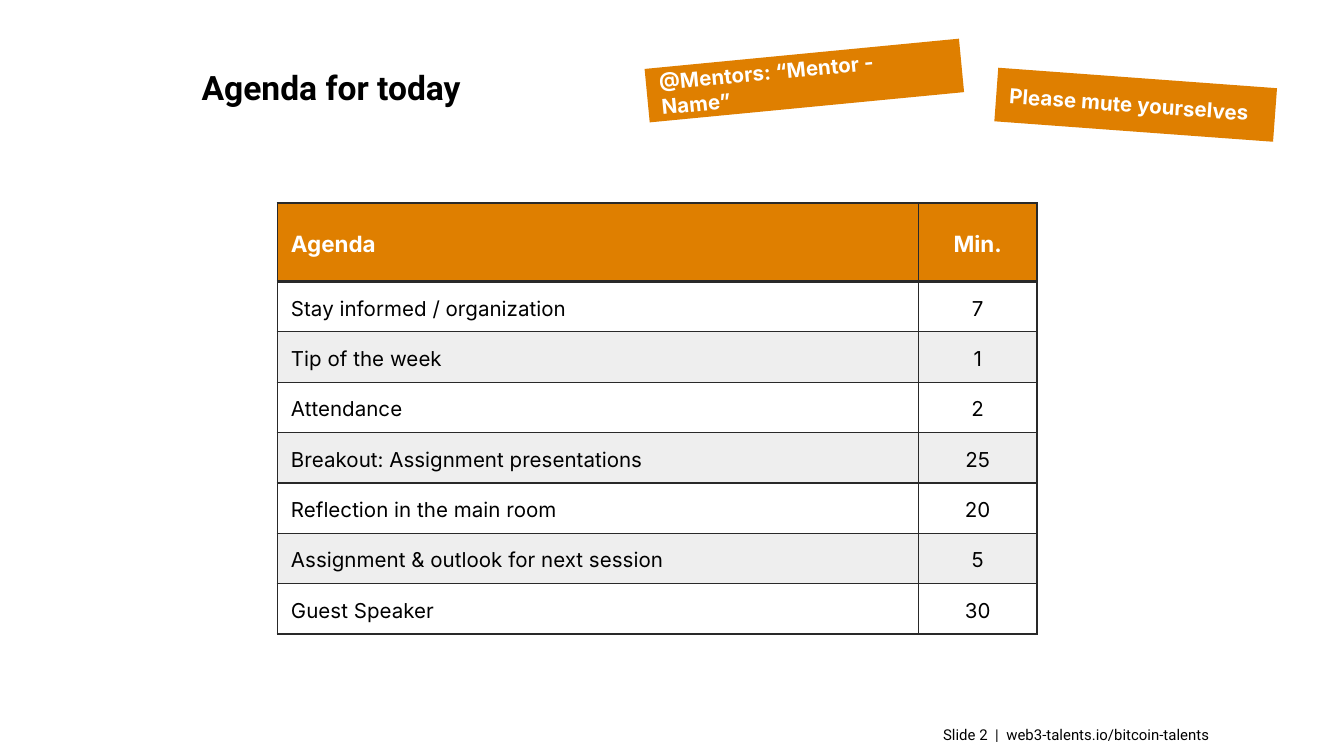
"""Build the agenda slide with its title, two tilted labels, timetable and footer."""
import dataclasses
import typing

import lxml.etree
import pptx
import pptx.dml.color
import pptx.enum.shapes
import pptx.enum.text
import pptx.oxml.ns
import pptx.util

ALIGN = pptx.enum.text.PP_ALIGN
ANCHOR = pptx.enum.text.MSO_ANCHOR


@dataclasses.dataclass(frozen=True)
class Theme:
    accent: str = "DF7F00"
    ink: str = "000000"
    paper: str = "FFFFFF"
    band: str = "EEEEEE"
    rule: str = "292929"
    head_font: str = "Roboto"
    body_font: str = "Inter"
    title: float = 18
    header: float = 12
    body: float = 11
    small: float = 8
    thin: float = 0.75
    line: float = 1
    thick: float = 2


class Box(typing.NamedTuple):
    col: float
    row: float
    cols: float
    rows: float


class Style(typing.NamedTuple):
    font: str
    size: float
    color: str
    bold: bool = False
    align: ALIGN = ALIGN.LEFT


class Label(typing.NamedTuple):
    text: str
    box: Box
    turn: float
    right: float = 1


class Item(typing.NamedTuple):
    topic: str
    time: str


THEME = Theme()
PITCH = 0.1
WIDTH, HEIGHT = 100, 56.25
TABLE = Box(20.65, 15.1, 56.5, 32.1)
TIME_COLS = 8.8
HEAD_ROWS = 5.85

LABELS = [
    Label("Please mute yourselves", Box(74.1, 5.8, 20.8, 4), 4.2),
    Label("@Mentors: “Mentor - Name”", Box(48.1, 4, 23.5, 4), -5.5, 1.5),
]
ITEMS = [
    Item("Agenda", "Min."),
    Item("Stay informed / organization", "7"),
    Item("Tip of the week", "1"),
    Item("Attendance", "2"),
    Item("Breakout: Assignment presentations", "25"),
    Item("Reflection in the main room", "20"),
    Item("Assignment & outlook for next session", "5"),
    Item("Guest Speaker", "30"),
]


def span(units: float) -> int:
    return pptx.util.Inches(units * PITCH)


def place(box: Box) -> list[int]:
    return [span(side) for side in box]


def tint(code: str) -> pptx.dml.color.RGBColor:
    return pptx.dml.color.RGBColor.from_string(code)


def paint(shape, code: str) -> None:
    shape.fill.solid()
    shape.fill.fore_color.rgb = tint(code)


def write(frame, text: str, style: Style) -> None:
    frame.text = text
    for para in frame.paragraphs:
        para.alignment = style.align
        for run in para.runs:
            run.font.name = style.font
            run.font.size = pptx.util.Pt(style.size)
            run.font.bold = style.bold
            run.font.color.rgb = tint(style.color)


def inset(frame, left: float, top: float, right: float, base: float) -> None:
    frame.margin_left, frame.margin_top = span(left), span(top)
    frame.margin_right, frame.margin_bottom = span(right), span(base)


def add_text(slide, text: str, box: Box, style: Style, anchor: ANCHOR, right: float = 0) -> None:
    frame = slide.shapes.add_textbox(*place(box)).text_frame
    frame.word_wrap = True
    frame.vertical_anchor = anchor
    inset(frame, 0, 0, right, 0)
    write(frame, text, style)


def add_label(slide, label: Label) -> None:
    kind = pptx.enum.shapes.MSO_SHAPE.RECTANGLE
    shape = slide.shapes.add_shape(kind, *place(label.box))
    shape.shadow.inherit = False
    shape.rotation = label.turn
    paint(shape, THEME.accent)
    shape.line.fill.background()
    frame = shape.text_frame
    frame.word_wrap = True
    frame.vertical_anchor = ANCHOR.MIDDLE
    inset(frame, 1, 1, label.right, 1)
    write(frame, label.text, Style(THEME.body_font, THEME.body, THEME.paper, True))


def add_rules(cell, top: float, base: float) -> None:
    props = cell._tc.get_or_add_tcPr()
    name = pptx.oxml.ns.qn
    for side, width in zip("LRTB", (THEME.line, THEME.line, top, base)):
        rule = lxml.etree.SubElement(props, name(f"a:ln{side}"), w=str(pptx.util.Pt(width)))
        fill = lxml.etree.SubElement(rule, name("a:solidFill"))
        lxml.etree.SubElement(fill, name("a:srgbClr"), val=THEME.rule)


def fill_cell(cell, text: str, row: int, align: ALIGN) -> None:
    head = row == 0
    top = THEME.line if head else THEME.thick if row == 1 else THEME.thin
    add_rules(cell, top, THEME.thick if head else THEME.thin)
    paint(cell, THEME.accent if head else THEME.paper if row % 2 else THEME.band)
    cell.vertical_anchor = ANCHOR.MIDDLE
    inset(cell, 1, 0.5, 1, 0.5)
    size = THEME.header if head else THEME.body
    color = THEME.paper if head else THEME.ink
    write(cell.text_frame, text, Style(THEME.body_font, size, color, head, align))
    cell.text_frame.paragraphs[0].line_spacing = 1.15


def add_plan(slide, items: list[Item]) -> None:
    table = slide.shapes.add_table(len(items), 2, *place(TABLE)).table
    table.first_row = table.horz_banding = False
    table.columns[0].width = span(TABLE.cols - TIME_COLS)
    table.columns[1].width = span(TIME_COLS)
    step = (TABLE.rows - HEAD_ROWS) / (len(items) - 1)
    for row, item in enumerate(items):
        table.rows[row].height = span(step if row else HEAD_ROWS)
        for col, align in enumerate((ALIGN.LEFT, ALIGN.CENTER)):
            fill_cell(table.cell(row, col), item[col], row, align)


def main() -> None:
    deck = pptx.Presentation()
    deck.slide_width, deck.slide_height = span(WIDTH), span(HEIGHT)
    slide = deck.slides.add_slide(deck.slide_layouts[6])
    foot = Style(THEME.head_font, THEME.small, THEME.ink, align=ALIGN.RIGHT)
    add_text(slide, "Slide 2  |  web3-talents.io/bitcoin-talents",
             Box(67, 54, 24, 1.3), foot, ANCHOR.MIDDLE, right=1)
    title = Style(THEME.head_font, THEME.title, THEME.ink, True)
    add_text(slide, "Agenda for today", Box(15, 5, 80, 5.5), title, ANCHOR.TOP)
    add_plan(slide, ITEMS)
    for label in LABELS:
        add_label(slide, label)
    deck.save("out.pptx")


if __name__ == "__main__":
    main()
